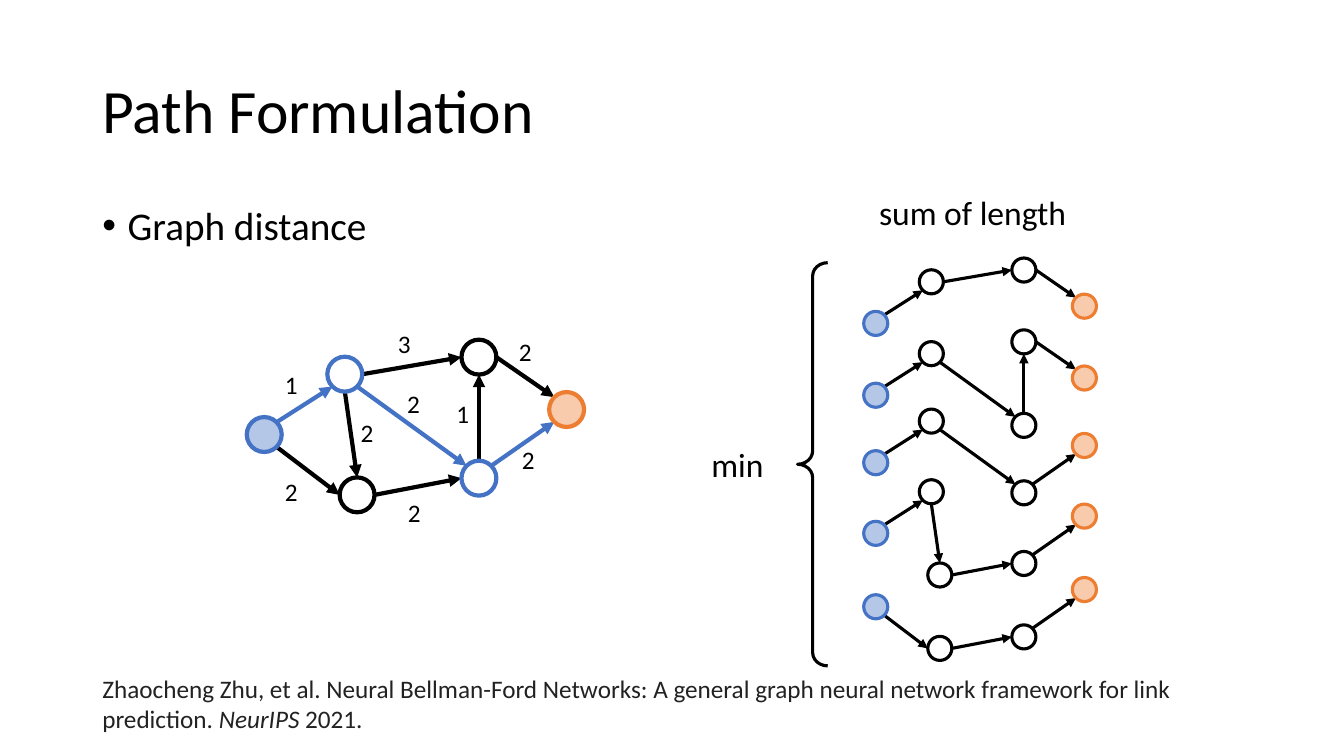
from math import cos, radians, sin

from lxml.etree import SubElement
from pptx import Presentation
from pptx.dml.color import RGBColor
from pptx.enum.shapes import MSO_CONNECTOR as Link, MSO_SHAPE as Shape
from pptx.enum.text import MSO_ANCHOR as Anchor, PP_ALIGN as Align
from pptx.oxml.ns import qn
from pptx.util import Cm, Pt

FONT = "Calibri"
HUES = {
    "black": "000000", "white": "FFFFFF", "grey": "222222",
    "blue": "4472C4", "sky": "B4C7E7", "orange": "ED7D31", "peach": "F8CBAD",
}

# Centres in cm, measured from the start node S
NODES = {
    "S": (0, 0), "A": (2.03, -1.52), "B": (2.34, 1.52),
    "C": (5.41, -1.95), "D": (5.41, 1.1), "T": (7.62, -0.63),
}
RADIUS = 0.44

# Edge: angles in degrees (clockwise from right) where it leaves and arrives
EDGES = {
    "SA": (-45, 135), "SB": (45, 180), "AB": (90, -90),
    "AC": (0, 180), "AD": (45, -135), "BD": (0, 180),
    "DC": (-90, 90), "CT": (0, -135), "DT": (-45, 135),
}

# Edge: length and the left and top of its label
LABELS = {
    "SA": ("1", 6.93, 9.19), "SB": ("2", 6.93, 11.89),
    "AB": ("2", 8.84, 10.39), "DC": ("1", 11.25, 9.91),
    "AC": ("3", 9.78, 8.15), "BD": ("2", 10.03, 12.4),
    "CT": ("2", 12.83, 8.36), "DT": ("2", 12.9, 11.07),
    "AD": ("2", 10.01, 9.65),
}

BEST = "SADT"
ROUTES = {"SACT": 8.15, "SADCT": 9.96, "SADT": 11.66,
          "SABDT": 13.44, "SBDT": 15.29}


def hue(name):
    return RGBColor.from_string(HUES[name])


def steps(route):
    return [a + b for a, b in zip(route, route[1:])]


def add_text(shapes, box, runs, size, color="black", align=Align.LEFT):
    """Add a one-paragraph text box; runs are (text, italic) pairs."""
    frame = shapes.add_textbox(*map(Cm, box)).text_frame
    frame.word_wrap = True
    para = frame.paragraphs[0]
    para.alignment = align
    for words, slant in runs:
        run = para.add_run()
        run.text = words
        font = run.font
        font.name, font.size, font.italic = FONT, Pt(size), slant
        font.color.rgb = hue(color)
    return frame


def add_bullet(para):
    props = para._p.get_or_add_pPr()
    props.set("marL", str(Cm(0.64)))
    props.set("indent", str(-Cm(0.64)))
    SubElement(props, qn("a:buFont"), typeface="Arial")
    SubElement(props, qn("a:buChar"), char="•")


def add_arrow(shapes, start, end, color, width):
    arrow = shapes.add_connector(Link.STRAIGHT, *map(Cm, start + end))
    arrow.line.color.rgb = hue(color)
    arrow.line.width = Pt(width)
    SubElement(arrow.line._get_or_add_ln(), qn("a:tailEnd"), type="triangle")
    SubElement(arrow._element.spPr, qn("a:effectLst"))


def add_node(shapes, mid, radius, fill, ring, width):
    x, y = mid
    side = Cm(2 * radius)
    node = shapes.add_shape(
        Shape.OVAL, Cm(x - radius), Cm(y - radius), side, side)
    node.shadow.inherit = False
    node.fill.solid()
    node.fill.fore_color.rgb = hue(fill)
    node.line.color.rgb = hue(ring)
    node.line.width = Pt(width)


def add_graph(shapes, origin, names, edges, scale=1, width=3, best=""):
    """Draw the named nodes and edges, with the best route in blue."""
    left, top = origin
    radius = RADIUS * scale
    mids = {n: (left + NODES[n][0] * scale, top + NODES[n][1] * scale)
            for n in names}

    def rim(name, angle):
        x, y = mids[name]
        turn = radians(angle)
        return x + radius * cos(turn), y + radius * sin(turn)

    for edge in edges:
        ends = [rim(n, angle) for n, angle in zip(edge, EDGES[edge])]
        color = "blue" if edge in steps(best) else "black"
        add_arrow(shapes, *ends, color, width)
    for name, mid in mids.items():
        plain = "white", "blue" if name in best else "black"
        look = {"S": ("sky", "blue"), "T": ("peach", "orange")}
        add_node(shapes, mid, radius, *look.get(name, plain), width)


def add_brace(shapes, box):
    brace = shapes.add_shape(Shape.LEFT_BRACE, *map(Cm, box))
    brace.shadow.inherit = False
    brace.adjustments[0] = 0.44
    brace.fill.background()
    brace.line.color.rgb = hue("black")
    brace.line.width = Pt(2.25)


def main():
    deck = Presentation()
    deck.slide_width, deck.slide_height = Cm(33.87), Cm(19.05)
    shapes = deck.slides.add_slide(deck.slide_layouts[6]).shapes

    title = add_text(shapes, (2.33, 1.01, 29.21, 3.68),
                     [("Path Formulation", False)], 44)
    title.vertical_anchor = Anchor.MIDDLE
    title.paragraphs[0].line_spacing = 0.9

    body = add_text(shapes, (2.33, 5.07, 29.21, 12.09),
                    [("Graph distance", False)], 28).paragraphs[0]
    body.line_spacing = 0.9
    add_bullet(body)

    whole = shapes.add_group_shape().shapes
    add_graph(whole, (6.66, 10.95), NODES, EDGES, best=BEST)
    for size, left, top in LABELS.values():
        add_text(whole, (left, top, 1, 1.03), [(size, False)], 18)

    paths = shapes.add_group_shape().shapes
    for route, top in ROUTES.items():
        add_graph(paths, (22.07, top), route, steps(route), 0.69, 2.25)
    add_brace(paths, (20.1, 6.62, 0.76, 10.16))
    add_text(paths, (17.3, 11.05, 2.57, 1.28), [("min", False)], 24,
             align=Align.CENTER)
    add_text(paths, (21.69, 4.72, 5.64, 1.28), [("sum of length", False)], 24,
             align=Align.CENTER)

    cite = [("Zhaocheng Zhu, et al. Neural Bellman-Ford Networks: A general "
             "graph neural network framework for link prediction. ", False),
            ("NeurIPS", True), (" 2021.", False)]
    add_text(shapes, (2.33, 16.84, 30.18, 1.8), cite, 18, "grey")

    deck.save("out.pptx")


if __name__ == "__main__":
    main()
